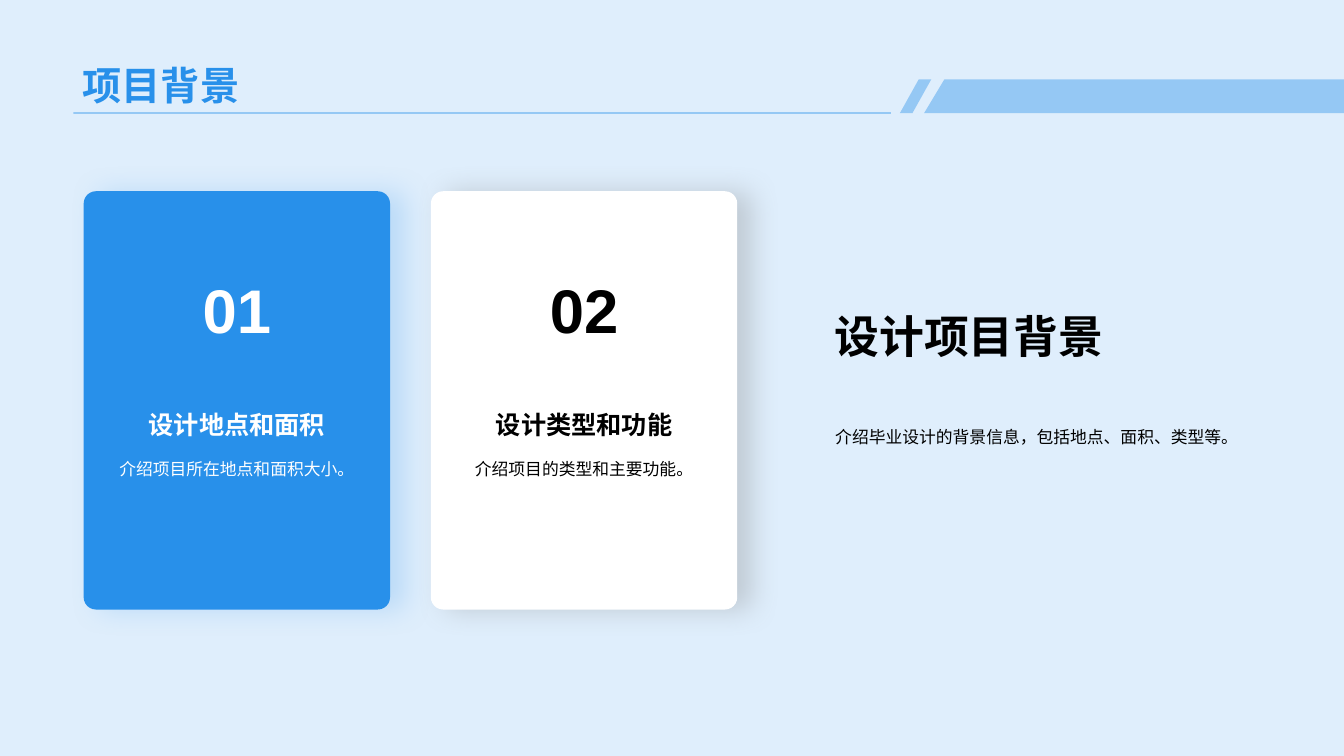
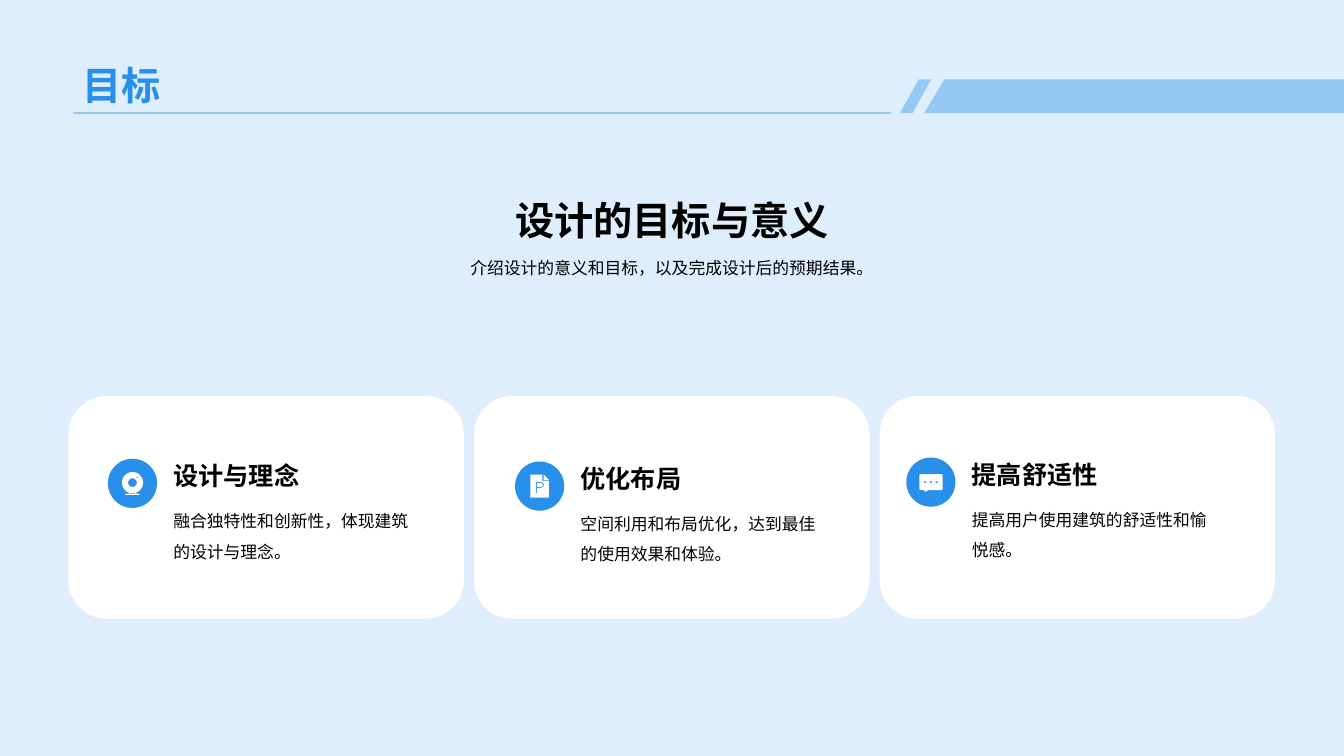
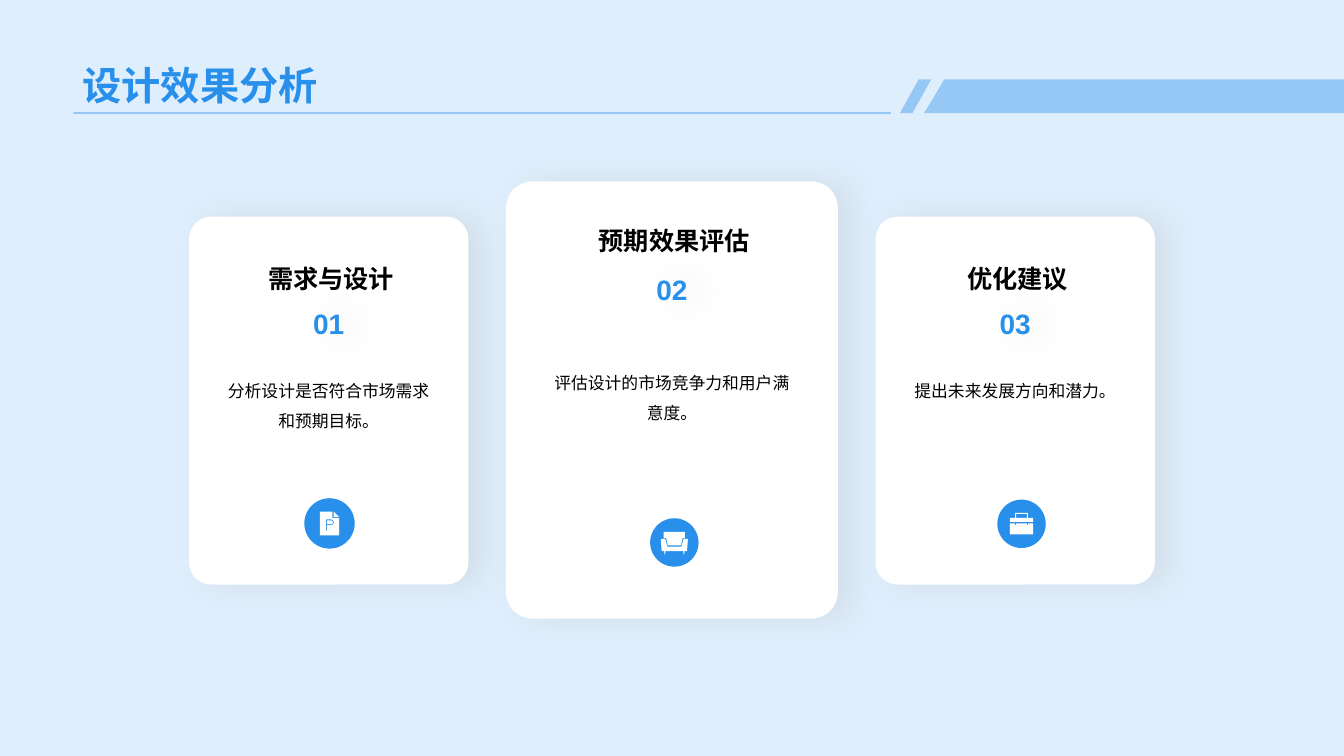
from dataclasses import dataclass
from math import cos, pi, sin

from lxml import etree
from pptx import Presentation
from pptx.dml.color import RGBColor
from pptx.enum.shapes import MSO_CONNECTOR, MSO_SHAPE
from pptx.enum.text import MSO_ANCHOR, MSO_AUTO_SIZE, PP_ALIGN
from pptx.oxml.ns import qn
from pptx.util import Cm, Pt

ROUNDED = MSO_SHAPE.ROUNDED_RECTANGLE
OVAL = MSO_SHAPE.OVAL
SLASH = MSO_SHAPE.PARALLELOGRAM
STRAIGHT = MSO_CONNECTOR.STRAIGHT
TOP, MIDDLE, BOTTOM = MSO_ANCHOR.TOP, MSO_ANCHOR.MIDDLE, MSO_ANCHOR.BOTTOM
LEFT, CENTER = PP_ALIGN.LEFT, PP_ALIGN.CENTER
FIXED = MSO_AUTO_SIZE.NONE

SLIDE_WIDTH, SLIDE_HEIGHT = 33.87, 19.05
TITLE_ONLY = 5
ICON_GRID = 1000  # icon units across one disc, with the origin at its centre


@dataclass(frozen=True)
class Theme:
    font: str = "Arial"
    blue: str = "2890EA"
    background: str = "DFEEFC"
    white: str = "FFFFFF"
    black: str = "000000"
    blue_shadow: str = "71B4F0"
    dark_shadow: str = "828282"
    soft_shadow: str = "A6A6A6"
    body: int = 12
    subhead: int = 18
    badge: int = 20
    title: int = 28
    headline: int = 32
    number: int = 44


def circle(x, y, radius, steps=40):
    return [(x + radius * cos(2 * pi * i / steps), y + radius * sin(2 * pi * i / steps))
            for i in range(steps)]


def mirrored(half):
    """Close a left half-outline with its reflection in the vertical axis."""
    return half + [(-x, y) for x, y in reversed(half)]


CAMERA = [
    circle(0, -15, 215),
    circle(0, -15, 88),
    circle(90, -120, 14),
    mirrored([(-143, 235), (-143, 215), (-85, 215), (-65, 192), (-50, 196), (-62, 215)]),
]
DOCUMENT = [
    [(-190, -235), (55, -235), (55, -110), (190, -110), (190, 235), (-190, 235)],
    [(80, -235), (190, -130), (80, -130)],
    [(-70, -80), (30, -80), (70, -65), (88, -25), (70, 15), (30, 35),
     (-50, 35), (-50, 140), (-70, 140)],
    [(-50, -60), (28, -60), (55, -50), (68, -25), (55, 5), (28, 15), (-50, 15)],
]
CHAT = [
    [(-235, -145), (-215, -165), (215, -165), (235, -145), (235, 140), (215, 160),
     (-50, 160), (-130, 205), (-130, 160), (-215, 160), (-235, 140)],
    *[circle(x, 0, 23) for x in (-115, 0, 115)],
]
SOFA = [
    mirrored([(-145, 85), (-190, -75), (-280, -75), (-262, 180), (-208, 180),
              (-208, 240), (-185, 240), (-185, 180)]),
    mirrored([(-220, -220), (-220, -90), (-170, -90), (-135, 60)]),
]
BRIEFCASE = [
    mirrored([(-240, 215), (-240, -10), (-130, -10), (-130, 25), (-110, 25), (-110, -10)]),
    mirrored([(-240, -40), (-240, -125), (-130, -125), (-130, -225)]),
    mirrored([(-110, -125), (-110, -205)]),
]


class Deck:
    """Holds the theme and the current page; all lengths are in centimetres."""

    def __init__(self, theme):
        self.theme = theme
        self.deck = Presentation()
        self.deck.slide_width, self.deck.slide_height = Cm(SLIDE_WIDTH), Cm(SLIDE_HEIGHT)
        self.layout = self.deck.slide_layouts[TITLE_ONLY]
        self.page = None
        fill = self.deck.slide_master.background.fill
        fill.solid()
        fill.fore_color.rgb = RGBColor.from_string(theme.background)

    def add_page(self, title):
        first = self.page is None
        self.page = self.deck.slides.add_slide(self.layout)
        if first:
            self.move_header_to_layout()
        box = self.page.shapes.title
        box.left, box.top, box.width, box.height = Cm(1.83), Cm(0), Cm(30.18), Cm(2.85)
        self.set_text(box, title, self.theme.title, self.theme.blue, True, LEFT, BOTTOM)

    def move_header_to_layout(self):
        """Draw the header once and let every page inherit it."""
        for placeholder in list(self.layout.placeholders)[1:]:
            self.layout.shapes.element.remove(placeholder.element)
        top, bottom = 2, 2.85
        band = self.outline([[(23.8, top), (SLIDE_WIDTH, top), (SLIDE_WIDTH, bottom),
                              (23.29, bottom)]], Cm(1), 0, 0, self.theme.blue)
        slash = self.shape(SLASH, 22.68, top, 0.79, bottom - top, self.theme.blue, 0.6)
        rule = self.line(1.85, bottom, 22.45, bottom)
        for part in (band, slash, rule):
            self.set_alpha(part.element.spPr, 40)
            self.layout.shapes.element.append(part.element)

    @staticmethod
    def set_alpha(parent, percent):
        """Make the first colour inside an XML element partly transparent."""
        color = next(parent.iter(qn("a:srgbClr")))
        etree.SubElement(color, qn("a:alpha"), val=str(percent * 1000))

    def paint(self, shape, color):
        shape.fill.solid()
        shape.fill.fore_color.rgb = RGBColor.from_string(color)
        shape.line.fill.background()
        shape.shadow.inherit = False
        return shape

    def shape(self, kind, left, top, width, height, color, adjustment=None):
        shape = self.page.shapes.add_shape(kind, Cm(left), Cm(top), Cm(width), Cm(height))
        if adjustment is not None:
            shape.adjustments[0] = adjustment
        return self.paint(shape, color)

    def line(self, x1, y1, x2, y2):
        line = self.page.shapes.add_connector(STRAIGHT, Cm(x1), Cm(y1), Cm(x2), Cm(y2))
        line.line.color.rgb = RGBColor.from_string(self.theme.blue)
        line.line.width = Pt(1.25)
        etree.SubElement(line.element.spPr, qn("a:effectLst"))
        return line

    def outline(self, contours, unit, x, y, color):
        """Fill closed contours, placed from (x, y), with one unit of the given length."""
        grid = 100  # the builder rounds points to whole numbers
        scaled = [[(px * grid, py * grid) for px, py in contour] for contour in contours]
        builder = self.page.shapes.build_freeform(*scaled[0][0], scale=unit / grid)
        for index, contour in enumerate(scaled):
            if index:
                builder.move_to(*contour[0])
            builder.add_line_segments(contour[1:], close=True)
        return self.paint(builder.convert_to_shape(Cm(x), Cm(y)), color)

    def icon(self, contours, x, y, diameter):
        """Draw a blue disc centred on (x, y) with a white symbol inside."""
        radius = diameter / 2
        self.shape(OVAL, x - radius, y - radius, diameter, diameter, self.theme.blue)
        self.outline(contours, Cm(diameter) / ICON_GRID, x, y, self.theme.white)

    def card(self, left, top, width, height, corner, color=None):
        return self.shape(ROUNDED, left, top, width, height, color or self.theme.white, corner)

    def cast_shadow(self, shape, color, percent):
        shape.shadow.inherit = False
        effects = shape.element.spPr.find(qn("a:effectLst"))
        shadow = etree.SubElement(effects, qn("a:outerShdw"), blurRad=str(Pt(20)),
                                  dist=str(Pt(10)), dir="0", algn="l", rotWithShape="0")
        etree.SubElement(shadow, qn("a:srgbClr"), val=color)
        self.set_alpha(shadow, percent)

    def text(self, words, left, top, width, height, size, color=None, bold=False,
             align=LEFT, anchor=TOP, spacing=None):
        box = self.page.shapes.add_textbox(Cm(left), Cm(top), Cm(width), Cm(height))
        self.set_text(box, words, size, color or self.theme.black, bold, align, anchor, spacing)
        return box

    def centered(self, words, center, top, width, height, size, **style):
        return self.text(words, center - width / 2, top, width, height, size,
                         align=CENTER, **style)

    def set_text(self, box, words, size, color, bold, align, anchor, spacing=None):
        frame = box.text_frame
        frame.text = words
        frame.word_wrap = True
        frame.auto_size = FIXED
        frame.vertical_anchor = anchor
        para = frame.paragraphs[0]
        para.alignment = align
        if spacing:
            para.line_spacing = spacing
        for span in para.runs:
            span.font.size = Pt(size)
            span.font.bold = bold
            span.font.color.rgb = RGBColor.from_string(color)
            span.font.name = self.theme.font
        for properties in box.element.iter(qn("a:rPr")):
            etree.SubElement(properties, qn("a:ea"), typeface=self.theme.font)


def build_background(deck):
    theme = deck.theme
    deck.add_page("项目背景")
    deck.text("设计项目背景", 20.78, 7.65, 11.02, 1.63, theme.headline, bold=True)
    deck.text("介绍毕业设计的背景信息，包括地点、面积、类型等。",
              20.8, 10.54, 10.95, 0.81, theme.body, spacing=1.2)
    cards = [
        ("01", "设计地点和面积", "介绍项目所在地点和面积大小。",
         theme.blue, theme.white, theme.blue_shadow),
        ("02", "设计类型和功能", "介绍项目的类型和主要功能。",
         theme.white, theme.black, theme.dark_shadow),
    ]
    width, pitch = 7.72, 8.75
    for index, (number, heading, body, fill, ink, shadow) in enumerate(cards):
        left = 2.11 + index * pitch
        center = left + width / 2
        card = deck.card(left, 4.82, width, 10.54, 0.04, fill)
        deck.cast_shadow(card, shadow, 32)
        deck.centered(body, center, 11.33, 6.81, 1.85, theme.body, color=ink, spacing=1.2)
        deck.centered(heading, center, 9.98, 6.43, 1.22, theme.subhead,
                      color=ink, bold=True, anchor=BOTTOM)
        deck.centered(number, center, 6.73, 6.43, 2.74, theme.number, color=ink, bold=True)


def build_goals(deck):
    theme = deck.theme
    deck.add_page("目标")
    center = SLIDE_WIDTH / 2
    deck.centered("设计的目标与意义", center, 4.72, 21.08, 1.63, theme.title,
                  bold=True, anchor=MIDDLE)
    deck.centered("介绍设计的意义和目标，以及完成设计后的预期结果。",
                  center, 6.27, 15.7, 0.81, theme.body, spacing=1.2)
    goals = [
        ("设计与理念", "融合独特性和创新性，体现建筑的设计与理念。", CAMERA, 3.34, 12.18),
        ("优化布局", "空间利用和布局优化，达到最佳的使用效果和体验。", DOCUMENT, 13.6, 12.25),
        ("提高舒适性", "提高用户使用建筑的舒适性和愉悦感。", CHAT, 23.46, 12.15),
    ]
    width, gap = 9.96, 0.26
    for index, (heading, body, icon, x, y) in enumerate(goals):
        deck.card(1.73 + index * (width + gap), 9.98, width, 5.61, 0.17)
        deck.text(heading, x + 0.78, y - 0.72, 3.75, 1.02, theme.subhead,
                  bold=True, anchor=BOTTOM)
        deck.text(body, x + 0.78, y + 0.32, 6.5, 2.64, theme.body, spacing=1.5)
        deck.icon(icon, x, y, 1.24)


def build_analysis(deck):
    theme = deck.theme
    deck.add_page("设计效果分析")
    # card top, width, height; tops of heading, number and body; body width
    side = (5.46, 7.04, 9.27, 6.22, 7.59, 9.22, 5.77)
    middle = (4.57, 8.36, 11.02, 5.26, 6.73, 9.02, 6.58)
    cards = [
        ("01", "需求与设计", "分析设计是否符合市场需求和预期目标。", side,
         DOCUMENT, 0.02, 13.19, 1.27),
        ("02", "预期效果评估", "评估设计的市场竞争力和用户满意度。", middle,
         SOFA, 0.06, 13.67, 1.22),
        ("03", "优化建议", "提出未来发展方向和潜力。", side,
         BRIEFCASE, 0.16, 13.2, 1.22),
    ]
    pitch = 8.65
    for index, (number, heading, body, sizes, icon, shift, icon_y, disc) in enumerate(cards):
        top, width, height, heading_top, number_top, body_top, body_width = sizes
        center = SLIDE_WIDTH / 2 + (index - 1) * pitch
        card = deck.card(center - width / 2, top, width, height, 0.08)
        deck.cast_shadow(card, theme.soft_shadow, 20)
        deck.centered(heading, center + 0.06, heading_top, 5.84, 1.3, theme.subhead,
                      bold=True, anchor=BOTTOM)
        badge = deck.centered(number, center, number_top, 1.75, 1.3, theme.badge,
                              color=theme.blue, bold=True)
        deck.cast_shadow(badge, theme.soft_shadow, 20)
        deck.centered(body, center, body_top, body_width, 1.98, theme.body, spacing=1.5)
        deck.icon(icon, center + shift, icon_y, disc)


def main():
    deck = Deck(Theme())
    build_background(deck)
    build_goals(deck)
    build_analysis(deck)
    deck.deck.save("out.pptx")


if __name__ == "__main__":
    main()
